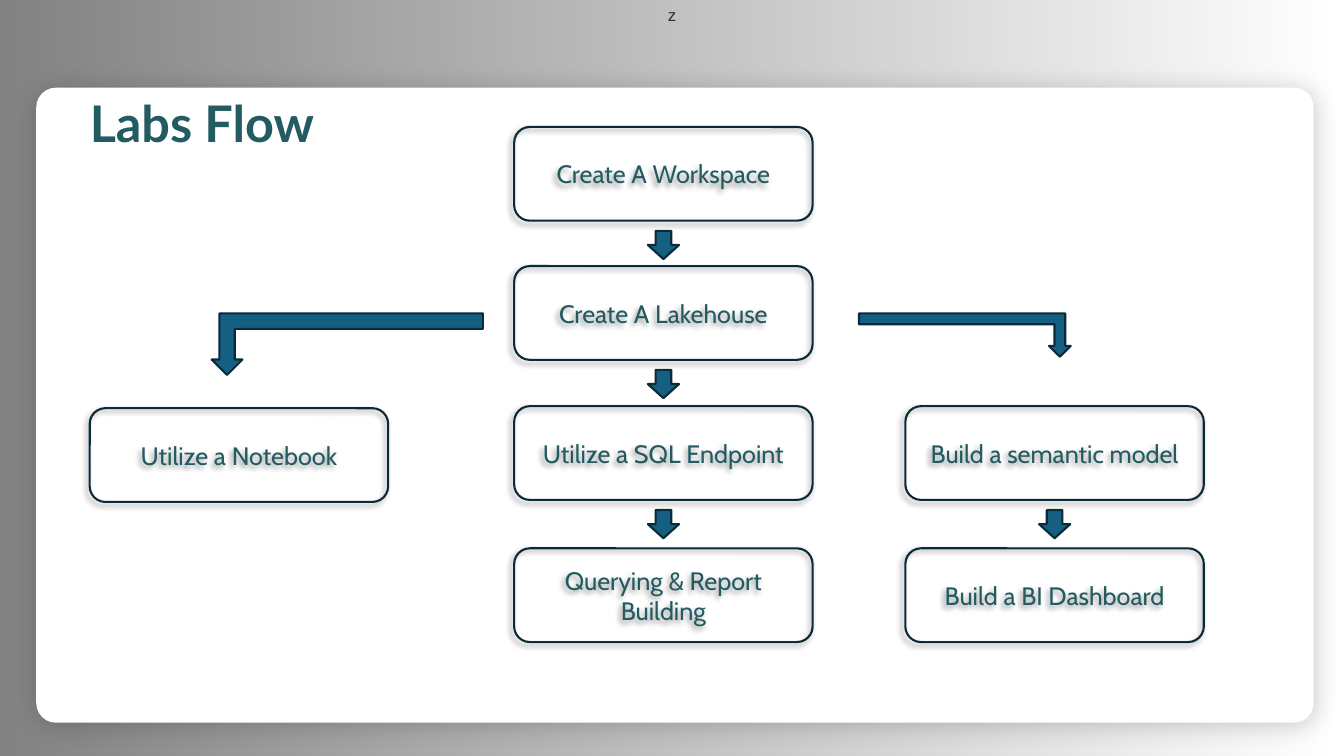
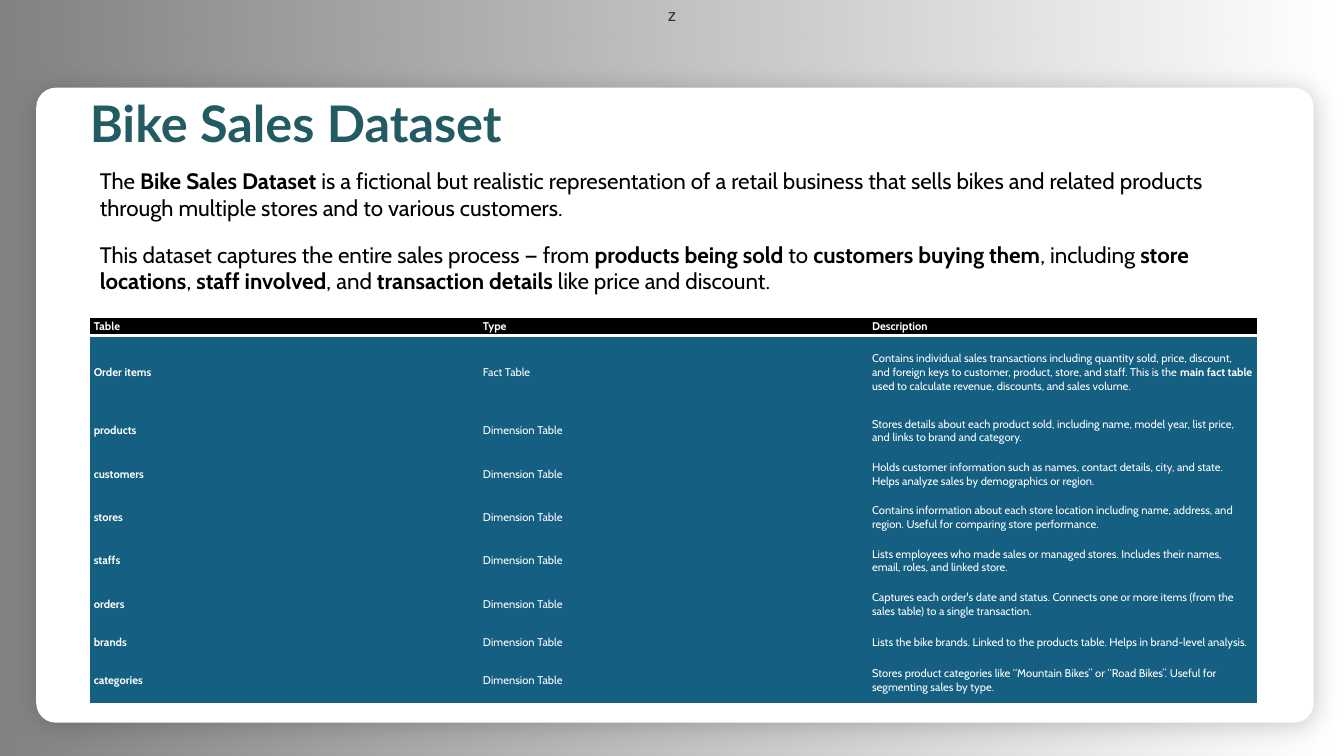
from pptx import Presentation
from pptx.dml.color import RGBColor
from pptx.enum.shapes import MSO_SHAPE
from pptx.enum.text import MSO_ANCHOR, MSO_AUTO_SIZE, PP_ALIGN
from pptx.oxml import parse_xml
from pptx.oxml.ns import nsdecls, qn
from pptx.util import Inches, Pt

RECT, ROUND = MSO_SHAPE.RECTANGLE, MSO_SHAPE.ROUNDED_RECTANGLE
DOWN, BENT = MSO_SHAPE.DOWN_ARROW, MSO_SHAPE.BENT_UP_ARROW
TOP, MIDDLE = MSO_ANCHOR.TOP, MSO_ANCHOR.MIDDLE
LEFT, CENTER = PP_ALIGN.LEFT, PP_ALIGN.CENTER
NO_FIT = MSO_AUTO_SIZE.NONE

TEAL, BLUE, NAVY = "225B61", "156082", "092A39"
BLACK, WHITE, CHARCOAL = "000000", "FFFFFF", "2E2E38"
MARGIN = 0.89
PLAIN_TABLE = "{2D5ABB26-0587-4C30-8999-92F81FD0307C}"

# Flow content: text, column, row
BOX_W, BOX_H = 2.96, 0.93
COLUMNS = [MARGIN, 5.1, 8.98]
ROWS = [1.26, 2.64, 4.03, 5.44]
STEPS = [
    ("Create A Workspace", 1, 0),
    ("Create A Lakehouse", 1, 1),
    ("Utilize a SQL Endpoint", 1, 2),
    ("Utilize a Notebook", 0, 2),
    ("Build a semantic model", 2, 2),
    ("Build a BI Dashboard", 2, 3),
    ("Querying & Report Building", 1, 3),
]
ARROW_W, ARROW_H, ARROW_GAP = 0.31, 0.28, 0.1
DOWN_FROM = [(1, 0), (1, 1), (1, 2), (2, 2)]
BRANCHES = [
    ((2.1, 3.11, 2.69, 0.61), ("flipH", "flipV")),
    ((8.52, 3.11, 2.1, 0.43), ("flipV",)),
]

# Dataset content: ** switches bold on and off
INTRO = [
    "The **Bike Sales Dataset** is a fictional but realistic representation of a retail "
    "business that sells bikes and related products through multiple stores and to "
    "various customers.",
    "This dataset captures the entire sales process — from **products being sold** to "
    "**customers buying them**, including **store locations**, **staff involved**, and "
    "**transaction details** like price and discount.",
]
HEADERS = ("Table", "Type", "Description")
FACT, DIMENSION = "Fact Table", "Dimension Table"
TABLES = [
    ("Order items", FACT,
     "Contains individual sales transactions including quantity sold, price, discount, "
     "and foreign keys to customer, product, store, and staff. This is the **main fact "
     "table** used to calculate revenue, discounts, and sales volume."),
    ("products", DIMENSION,
     "Stores details about each product sold, including name, model year, list price, "
     "and links to brand and category."),
    ("customers", DIMENSION,
     "Holds customer information such as names, contact details, city, and state. "
     "Helps analyze sales by demographics or region."),
    ("stores", DIMENSION,
     "Contains information about each store location including name, address, and "
     "region. Useful for comparing store performance."),
    ("staffs", DIMENSION,
     "Lists employees who made sales or managed stores. Includes their names, email, "
     "roles, and linked store."),
    ("orders", DIMENSION,
     "Captures each order's date and status. Connects one or more items (from the "
     "sales table) to a single transaction."),
    ("brands", DIMENSION,
     "Lists the bike brands. Linked to the products table. Helps in brand-level analysis."),
    ("categories", DIMENSION,
     "Stores product categories like “Mountain Bikes” or “Road Bikes”. Useful for "
     "segmenting sales by type."),
]
ROW_HEIGHTS = [0.18, 0.73, 0.43, 0.43, 0.43, 0.43, 0.43, 0.33, 0.43]
COL_W = 3.86


def rgb(value):
    return RGBColor.from_string(value)


def box(*lengths):
    return [Inches(v) for v in lengths]


def place(sp, *at):
    sp.left, sp.top, sp.width, sp.height = box(*at)


def write(tf, text, size=18, font="Cabin", color=TEAL, bold=False, align=LEFT,
          anchor=TOP, insets=(0.1, 0.05), wrap=True, gap=0):
    """Fill a text frame; a list gives paragraphs, ** toggles bold."""
    tf.word_wrap, tf.vertical_anchor = wrap, anchor
    tf.margin_left = tf.margin_right = Inches(insets[0])
    tf.margin_top = tf.margin_bottom = Inches(insets[1])
    for i, line in enumerate([text] if isinstance(text, str) else text):
        p = tf.add_paragraph() if i else tf.paragraphs[0]
        p.alignment, p.line_spacing = align, 1.0
        p.space_before = Pt(gap if i else 0)
        for j, part in enumerate(line.split("**")):
            r = p.add_run()
            r.text = part
            r.font.name, r.font.size = font, Pt(size)
            r.font.bold = bold or j % 2 == 1
            r.font.color.rgb = rgb(color)


def add_shape(slide, kind, at, fill=None, line=None):
    sp = slide.shapes.add_shape(kind, *box(*at))
    sp.shadow.inherit = False
    if fill:
        sp.fill.solid()
        sp.fill.fore_color.rgb = rgb(fill)
    else:
        sp.fill.background()
    if line:
        sp.line.color.rgb, sp.line.width = rgb(line), Pt(1.5)
    else:
        sp.line.fill.background()
    return sp


def add_shadow(sp, opacity, blur, dist, angle):
    effects = sp.element.spPr.find(qn("a:effectLst"))
    effects.append(parse_xml(
        f'<a:outerShdw {nsdecls("a")} blurRad="{Pt(blur)}" dist="{Pt(dist)}" '
        f'dir="{angle * 60000}" algn="ctr" rotWithShape="0"><a:srgbClr val="{BLACK}">'
        f'<a:alpha val="{opacity * 1000}"/></a:srgbClr></a:outerShdw>'))


def add_backdrop(prs, slide):
    """Draw the gradient and the white card, then move them to the master."""
    band = add_shape(slide, RECT, (0, 0, 13.33, 7.5))
    spPr = band.element.spPr
    spPr.replace(spPr.find(qn("a:noFill")), parse_xml(
        f'<a:gradFill {nsdecls("a")} rotWithShape="1"><a:gsLst>'
        f'<a:gs pos="0"><a:srgbClr val="{BLACK}"><a:alpha val="0"/></a:srgbClr></a:gs>'
        f'<a:gs pos="100000"><a:srgbClr val="{BLACK}"><a:alpha val="50000"/></a:srgbClr>'
        f'</a:gs></a:gsLst><a:lin ang="{180 * 60000}" scaled="0"/></a:gradFill>'))
    write(band.text_frame, "z", size=12, font="Arial", color=CHARCOAL, align=CENTER)
    card = add_shape(slide, ROUND, (0.36, 0.87, 12.67, 6.3), fill=WHITE)
    card.adjustments[0] = 0.031
    add_shadow(card, 20, 18, 3, 45)
    tree = prs.slide_master.shapes.element
    for i, sp in enumerate((band, card)):
        tree.insert(2 + i, sp.element)


def add_slide(prs, layout, title, width):
    slide = prs.slides.add_slide(prs.slide_layouts[layout])
    sp = slide.shapes.title
    place(sp, MARGIN, 0.91, width, 0.61)
    sp.text_frame.auto_size = NO_FIT
    write(sp.text_frame, title, size=36, font="Lato", bold=True, insets=(0, 0), wrap=False)
    return slide


def build_flow(slide):
    # Steps
    for text, col, row in STEPS:
        nudge = 0.02 if col == 0 else 0
        sp = add_shape(slide, ROUND, (COLUMNS[col], ROWS[row] + nudge, BOX_W, BOX_H), line=NAVY)
        add_shadow(sp, 40, 4, 3, 135)
        write(sp.text_frame, text, align=CENTER, anchor=MIDDLE)
    # Arrows
    for col, row in DOWN_FROM:
        at = (COLUMNS[col] + (BOX_W - ARROW_W) / 2, ROWS[row] + BOX_H + ARROW_GAP,
              ARROW_W, ARROW_H)
        add_shape(slide, DOWN, at, fill=BLUE, line=NAVY)
    for at, flips in BRANCHES:
        sp = add_shape(slide, BENT, at, fill=BLUE, line=NAVY)
        for flip in flips:
            sp.element.spPr.find(qn("a:xfrm")).set(flip, "1")


def build_dataset(slide):
    # Introduction
    body = slide.placeholders[1]
    place(body, MARGIN, 1.61, 11.84, 1.37)
    body.text_frame.auto_size = NO_FIT
    write(body.text_frame, INTRO, size=16, color=BLACK, gap=14)
    for p in body.text_frame.paragraphs:
        pPr = p._p.get_or_add_pPr()
        pPr.set("marL", "0")
        pPr.set("indent", "0")
        pPr.append(parse_xml(f'<a:buNone {nsdecls("a")}/>'))
    # Table
    rows = [HEADERS] + TABLES
    frame = slide.shapes.add_table(len(rows), len(HEADERS), *box(
        MARGIN, 3.15, COL_W * len(HEADERS), sum(ROW_HEIGHTS)))
    next(frame.element.iter(qn("a:tableStyleId"))).text = PLAIN_TABLE
    table = frame.table
    table.horz_banding = False
    for col in table.columns:
        col.width = Inches(COL_W)
    for i, (values, height) in enumerate(zip(rows, ROW_HEIGHTS)):
        table.rows[i].height = Inches(height)
        for j, text in enumerate(values):
            cell = table.cell(i, j)
            cell.fill.solid()
            cell.fill.fore_color.rgb = rgb(BLUE if i else BLACK)
            write(cell.text_frame, text, size=8, color=WHITE, bold=i == 0 or j == 0)
            cell.vertical_anchor = MIDDLE
            cell.margin_left = cell.margin_right = Inches(0.04)
            cell.margin_top = cell.margin_bottom = Inches(0.02)
            # The table cell, not its text body, holds the insets
            bodyPr = cell.text_frame._txBody.bodyPr
            for name in list(bodyPr.attrib):
                del bodyPr.attrib[name]
            if i == 0:
                cell._tc.get_or_add_tcPr().insert(0, parse_xml(
                    f'<a:lnB {nsdecls("a")} w="{Pt(2)}"><a:solidFill>'
                    f'<a:srgbClr val="{WHITE}"/></a:solidFill></a:lnB>'))


def main():
    prs = Presentation()
    prs.slide_width, prs.slide_height = box(13.33, 7.5)
    flow = add_slide(prs, 5, "Labs Flow", 2.29)
    add_backdrop(prs, flow)
    build_flow(flow)
    build_dataset(add_slide(prs, 1, "Bike Sales Dataset", 4.3))
    prs.save("out.pptx")


if __name__ == "__main__":
    main()
